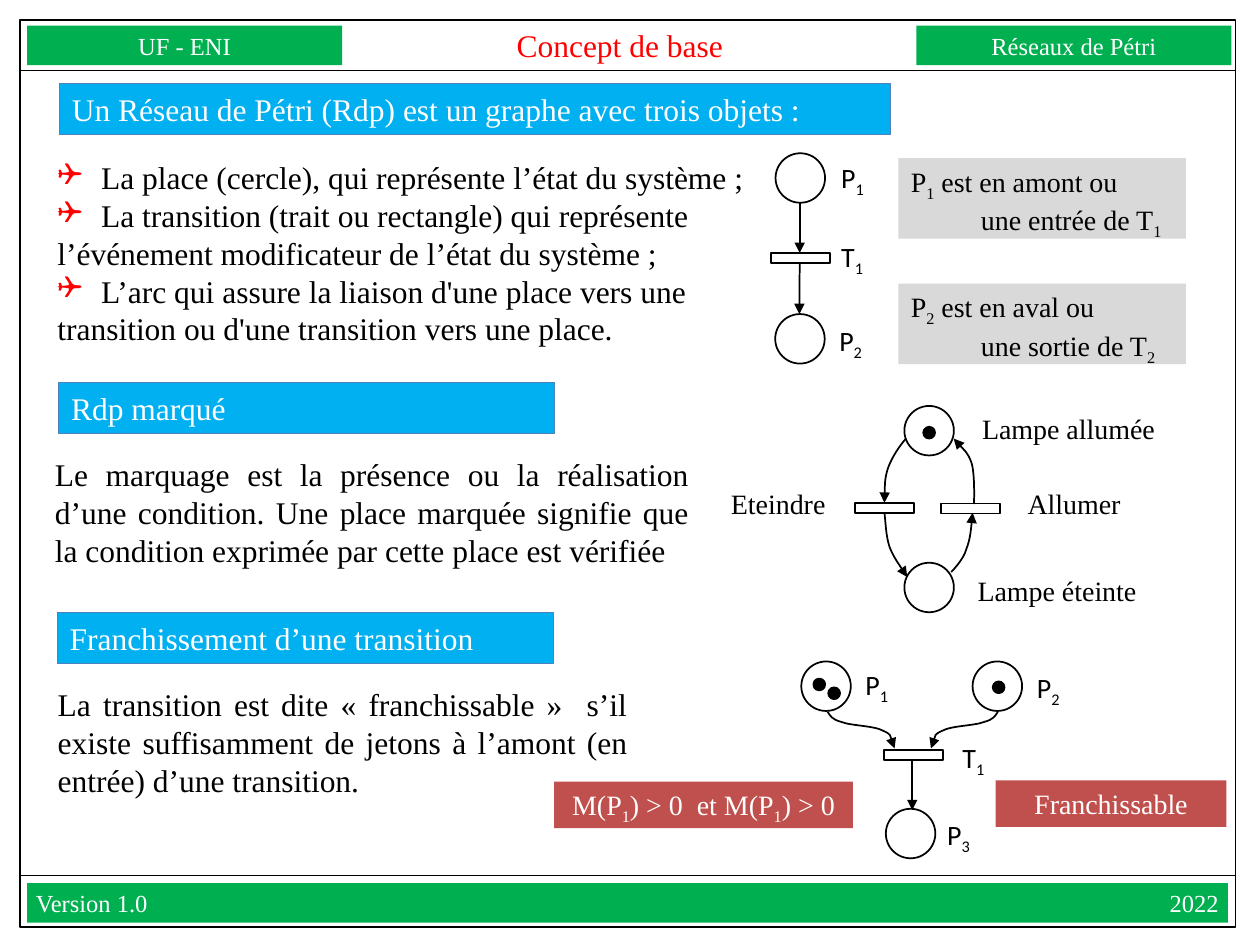
from dataclasses import dataclass
from typing import Optional

from lxml.etree import SubElement
from pptx import Presentation
from pptx.dml.color import RGBColor
from pptx.enum.shapes import MSO_CONNECTOR, MSO_SHAPE
from pptx.enum.text import MSO_ANCHOR, MSO_AUTO_SIZE, PP_ALIGN
from pptx.oxml.ns import qn
from pptx.util import Pt


@dataclass(frozen=True)
class Theme:
    serif: str = "Times New Roman"
    sans: str = "Calibri"
    symbols: str = "Wingdings"
    black: str = "000000"
    white: str = "FFFFFF"
    red: str = "FF0000"
    green: str = "00B050"
    blue: str = "00B0F0"
    blue_edge: str = "4F81BD"
    gray: str = "D9D9D9"
    brick: str = "C0504D"
    body: int = 18
    label: int = 16
    band: int = 14


THEME = Theme()


@dataclass(frozen=True)
class Style:
    size: int = THEME.label
    color: str = THEME.black
    font: str = THEME.serif
    fill: Optional[str] = None
    edge: Optional[str] = None
    align: PP_ALIGN = PP_ALIGN.LEFT
    anchor: MSO_ANCHOR = MSO_ANCHOR.TOP
    inset: tuple = (7.2, 3.6)


BAND = Style(THEME.band, THEME.white, fill=THEME.green, align=PP_ALIGN.CENTER,
             anchor=MSO_ANCHOR.MIDDLE, inset=(0, 0))
FOOTER = Style(THEME.band, THEME.white, fill=THEME.green,
               anchor=MSO_ANCHOR.MIDDLE, inset=(5, 0))
TITLE = Style(THEME.body, THEME.red, align=PP_ALIGN.CENTER,
              anchor=MSO_ANCHOR.MIDDLE, inset=(0, 0))
HEADING = Style(THEME.body, THEME.white, fill=THEME.blue, edge=THEME.blue_edge)
BODY = Style(THEME.body)
PROSE = Style(THEME.body, align=PP_ALIGN.JUSTIFY)
NOTE = Style(fill=THEME.gray)
RESULT = Style(color=THEME.white, fill=THEME.brick, align=PP_ALIGN.CENTER)
CAPTION = Style()
NODE = Style(font=THEME.sans)


@dataclass(frozen=True)
class Block:
    """Text in a box; in each paragraph every second run is a subscript."""
    box: tuple
    paragraphs: tuple
    style: Style


def node_label(left: float, top: float, letter: str, index: str) -> Block:
    return Block((left, top, 30.2, 26.6), ((letter, index),), NODE)


def caption(left: float, top: float, width: float, text: str) -> Block:
    return Block((left, top, width, 26.6), ((text,),), CAPTION)


BLOCKS = (
    Block((15.5, 14.7, 180, 22.5), (("UF - ENI",),), BAND),
    Block((523.7, 14.7, 180, 22.5), (("Réseaux de Pétri",),), BAND),
    Block((34, 47.8, 475, 29.1),
          (("Un Réseau de Pétri (Rdp) est un graphe avec trois objets :",),), HEADING),
    Block((33.5, 218.5, 283.5, 29.1), (("Rdp marqué",),), HEADING),
    Block((32.7, 349.9, 283.5, 29.1), (("Franchissement d’une transition",),), HEADING),
    Block((24.3, 256.5, 376.6, 72.7),
          (("Le marquage est la présence ou la réalisation d’une condition. "
            "Une place marquée signifie que la condition exprimée par cette "
            "place est vérifiée",),), PROSE),
    Block((25.9, 388.1, 340, 72.7),
          (("La transition est dite « franchissable »  s’il existe suffisamment "
            "de jetons à l’amont (en entrée) d’une transition.",),), PROSE),
    Block((513.4, 90.3, 164.2, 46),
          (("P", "1", " est en amont ou"), ("une entrée de T", "1")), NOTE),
    Block((513.4, 162.1, 164.2, 46),
          (("P", "2", " est en aval ou"), ("une sortie de T", "2")), NOTE),
    Block((316.6, 446.7, 170.8, 26.6),
          (("M(P", "1", ") > 0  et M(P", "1", ") > 0"),), RESULT),
    Block((569, 446, 131.8, 26.6), (("Franchissable",),), RESULT),
    caption(554.1, 231.4, 116.6, "Lampe allumée"),
    caption(551.5, 324, 121.7, "Lampe éteinte"),
    caption(580.1, 274.6, 77.8, "Allumer"),
    caption(410.6, 274.3, 73.4, "Eteindre"),
    node_label(473.6, 88.3, "P", "1"),
    node_label(472.5, 181.4, "P", "2"),
    node_label(473.6, 133.2, "T", "1"),
    node_label(487.4, 378, "P", "1"),
    node_label(585.4, 379.4, "P", "2"),
    node_label(534.2, 463.7, "P", "3"),
    node_label(542.9, 419.8, "T", "1"),
)
ITEMS = (
    "La place (cercle), qui représente l’état du système ;",
    "La transition (trait ou rectangle) qui représente l’événement "
    "modificateur de l’état du système ;",
    "L’arc qui assure la liaison d'une place vers une transition ou "
    "d'une transition vers une place.",
)
PLACES = ((443.2, 87.6), (443, 179.5), (516.8, 232), (516.8, 321.6),
          (457.9, 378), (555.8, 378), (506.2, 462.2))
TRANSITIONS = ((440.6, 144.6), (537.8, 287.7), (488.7, 287.4), (505, 428.6))
TOKENS = ((528.1, 244.4), (465.3, 388.3), (473.8, 393.3), (567.8, 389.9))
ARROWS = ((457, 115.9, 457, 144.6), (457, 150.4, 456.8, 179.5),
          (521.3, 434.5, 521.3, 463))
RULES = ((11.5, 40.3, 705.6, 40.3), (11.5, 500.4, 705.6, 500.4))
MERGE = ((473, 406.8), (474.5, 409), (475.2, 411.1), (481, 412.6), (486, 414.7),
         (499.7, 414.7), (504.7, 417.6), (509.8, 419.8), (510.5, 426.2), (511.2, 427.7))
ARCS = (
    ((517.7, 250.6), (513.4, 255.6), (509.8, 261.4), (507.6, 267.1),
     (505.4, 273.6), (505.4, 287.3), (505.4, 287.3)),
    ((556.6, 288), (556.6, 288), (557.3, 270.7), (555.1, 264.2),
     (553, 258.5), (548.6, 254.9), (545, 250.6)),
    ((505.4, 293), (506.2, 299.5), (506.2, 306), (508.3, 312.5),
     (510.5, 318.2), (518.4, 329.8), (518.4, 329.8)),
    ((543.6, 326.9), (543.6, 326.9), (550.8, 319.7), (552.2, 313.9),
     (554.4, 308.2), (555.1, 301), (555.8, 293)),
    MERGE,
    tuple((1043.2 - x, y) for x, y in MERGE),
)


def place(shape, box: tuple) -> None:
    shape.left, shape.top, shape.width, shape.height = map(Pt, box)


def write(paragraph, runs: tuple, style: Style) -> None:
    paragraph.alignment = style.align
    paragraph.space_before = Pt(0)
    for position, text in enumerate(runs):
        run = paragraph.add_run()
        run.text = text
        run.font.name = style.font
        run.font.size = Pt(style.size)
        run.font.color.rgb = RGBColor.from_string(style.color)
        if position % 2:
            run._r.get_or_add_rPr().set("baseline", "-25000")


def fill_text(shape, paragraphs: tuple, style: Style) -> None:
    frame = shape.text_frame
    frame.word_wrap = True
    frame.auto_size = MSO_AUTO_SIZE.NONE
    frame.vertical_anchor = style.anchor
    frame.margin_left = frame.margin_right = Pt(style.inset[0])
    frame.margin_top = frame.margin_bottom = Pt(style.inset[1])
    for position, runs in enumerate(paragraphs):
        paragraph = frame.add_paragraph() if position else frame.paragraphs[0]
        write(paragraph, runs, style)


def add_tab(paragraph, position: float, align: str) -> None:
    tabs = SubElement(paragraph._p.get_or_add_pPr(), qn("a:tabLst"))
    SubElement(tabs, qn("a:tab"), pos=str(Pt(position)), algn=align)


def add_bullet(paragraph) -> None:
    properties = paragraph._p.get_or_add_pPr()
    properties.set("marL", "0")
    properties.set("indent", "0")
    SubElement(SubElement(properties, qn("a:buClr")), qn("a:srgbClr"), val=THEME.red)
    SubElement(properties, qn("a:buFont"), typeface=THEME.symbols)
    SubElement(properties, qn("a:buChar"), char="❑")
    add_tab(paragraph, 25, "l")


def add_figure(slide, kind, box: tuple, fill: Optional[str] = None,
               edge: Optional[str] = THEME.black, weight: float = 1):
    shape = slide.shapes.add_shape(kind, *map(Pt, box))
    paint(shape, fill, edge, weight)
    return shape


def paint(shape, fill: Optional[str], edge: Optional[str], weight: float) -> None:
    shape.shadow.inherit = False
    for target, color in ((shape.fill, fill), (shape.line.fill, edge)):
        if color:
            target.solid()
            target.fore_color.rgb = RGBColor.from_string(color)
        else:
            target.background()
    if edge:
        shape.line.width = Pt(weight)


def add_block(slide, block: Block):
    style = block.style
    if style.fill:
        shape = add_figure(slide, MSO_SHAPE.RECTANGLE, block.box, style.fill, style.edge, 0.75)
    else:
        shape = slide.shapes.add_textbox(*map(Pt, block.box))
    fill_text(shape, block.paragraphs, style)
    for paragraph in shape.text_frame.paragraphs[1:]:
        paragraph._p.get_or_add_pPr().set("marL", str(Pt(40)))
    return shape


def add_arrowhead(shape) -> None:
    SubElement(shape.line._get_or_add_ln(), qn("a:tailEnd"), type="triangle")


def add_line(slide, ends: tuple, weight: float):
    line = slide.shapes.add_connector(MSO_CONNECTOR.STRAIGHT, *map(Pt, ends))
    line.line.color.rgb = RGBColor.from_string(THEME.black)
    line.line.width = Pt(weight)
    SubElement(line._element.spPr, qn("a:effectLst"))
    return line


def add_arc(slide, points: tuple) -> None:
    start, *rest = [tuple(map(Pt, point)) for point in points]
    builder = slide.shapes.build_freeform(*start)
    builder.add_line_segments(rest, close=False)
    shape = builder.convert_to_shape()
    outline = next(shape._element.iter(qn("a:path")))
    segments = outline.findall(qn("a:lnTo"))
    for first in range(0, len(segments), 3):
        curve = SubElement(outline, qn("a:cubicBezTo"))
        for segment in segments[first:first + 3]:
            curve.append(segment[0])
            outline.remove(segment)
    paint(shape, None, THEME.black, 1)
    add_arrowhead(shape)


def main() -> None:
    """Build the Petri net slide and save it."""
    presentation = Presentation()
    presentation.slide_width, presentation.slide_height = Pt(720), Pt(540)
    slide = presentation.slides.add_slide(presentation.slide_layouts[1])
    title, body = slide.shapes.title, slide.placeholders[1]
    place(title, (264.2, 14.4, 180, 22.3))
    fill_text(title, (("Concept de base",),), TITLE)
    place(body, (25.6, 86.8, 414, 116.6))
    fill_text(body, tuple(("\t" + item,) for item in ITEMS), BODY)
    for paragraph in body.text_frame.paragraphs:
        add_bullet(paragraph)

    add_figure(slide, MSO_SHAPE.RECTANGLE, (11.5, 11.5, 694.5, 518.4))
    for rule in RULES:
        add_line(slide, rule, 0.75)
    for corner in PLACES:
        add_figure(slide, MSO_SHAPE.OVAL, (*corner, 28.3, 28.3))
    for corner in TRANSITIONS:
        add_figure(slide, MSO_SHAPE.RECTANGLE, (*corner, 33.8, 5.7))
    for corner in TOKENS:
        add_figure(slide, MSO_SHAPE.OVAL, (*corner, 5.7, 5.7), THEME.black, weight=2)
    for ends in ARROWS:
        add_arrowhead(add_line(slide, ends, 1))
    for points in ARCS:
        add_arc(slide, points)
    for block in BLOCKS:
        add_block(slide, block)
    footer = add_block(slide, Block((15.5, 504.7, 686.2, 22.5), (("Version 1.0\t2022",),), FOOTER))
    add_tab(footer.text_frame.paragraphs[0], 676, "r")
    presentation.save("out.pptx")


if __name__ == "__main__":
    main()
